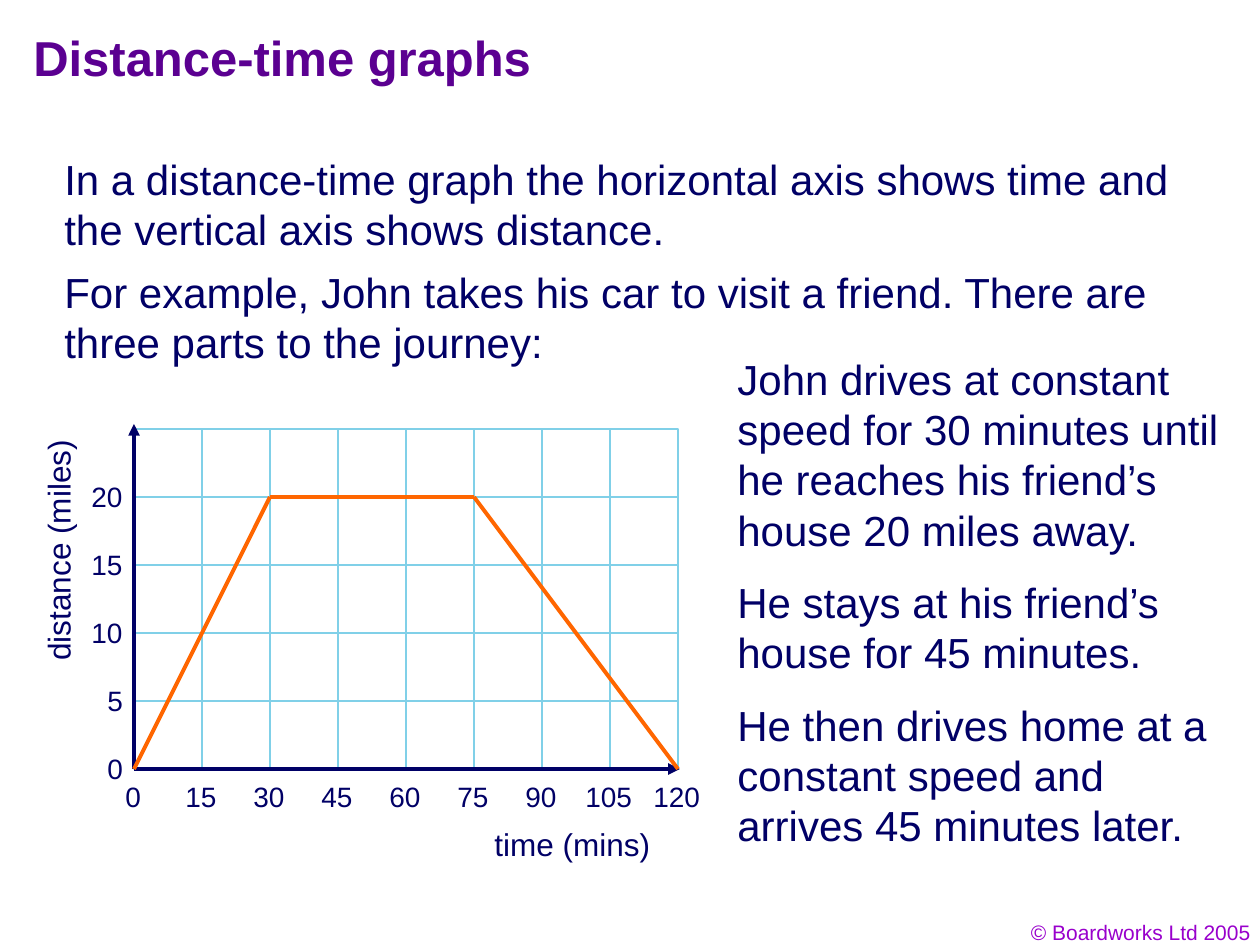
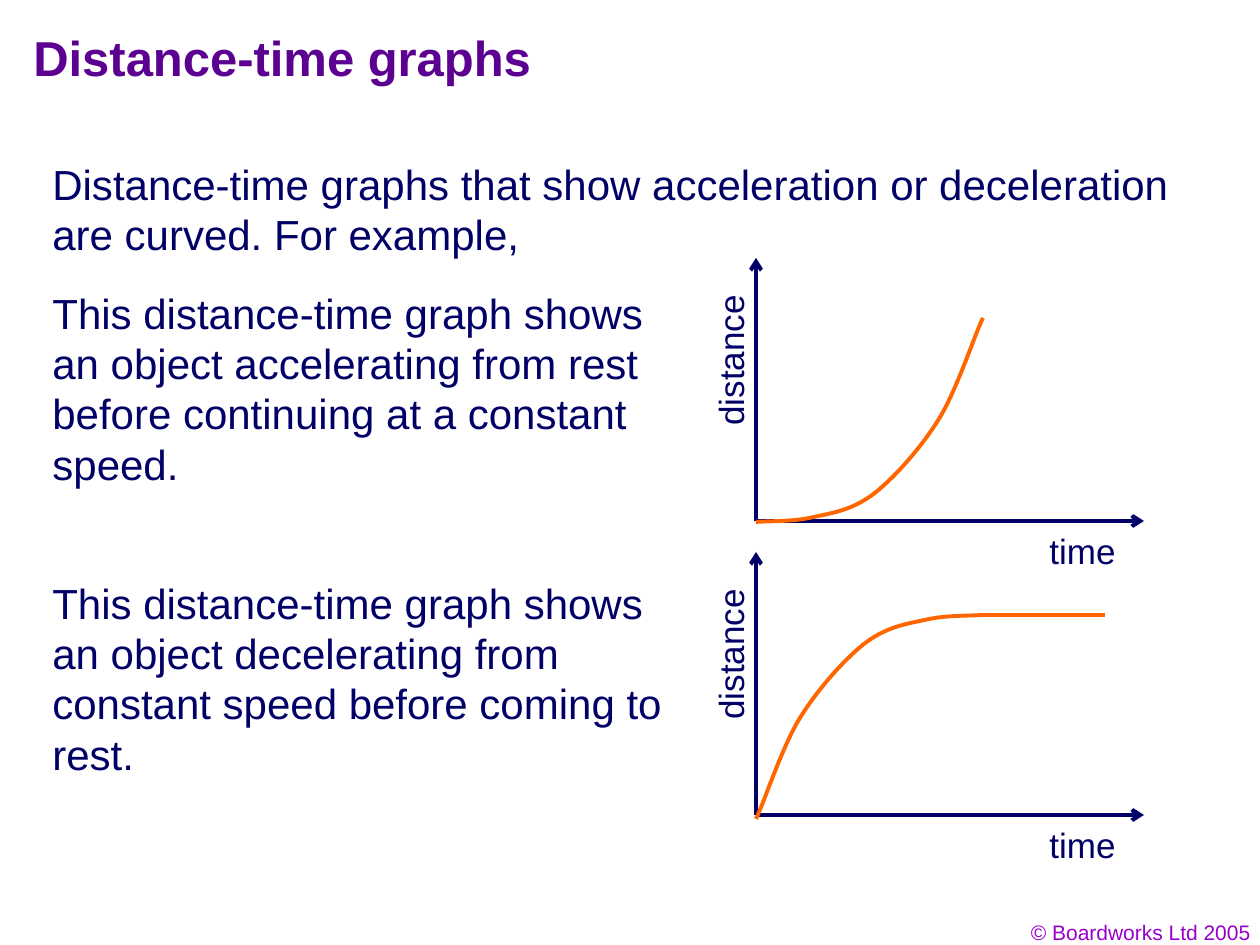
from dataclasses import dataclass
from itertools import pairwise

from lxml.etree import SubElement
from pptx import Presentation
from pptx.dml.color import RGBColor
from pptx.enum.shapes import MSO_CONNECTOR, MSO_SHAPE
from pptx.enum.text import MSO_AUTO_SIZE, PP_ALIGN
from pptx.oxml.ns import qn
from pptx.util import Pt


@dataclass(frozen=True)
class Theme:
    font: str = "Arial"
    title: str = "5B0091"
    body: str = "010066"
    axis: str = "000066"
    footer: str = "9900CC"
    curve: str = "FF6600"
    grid: str = "80D0E8"
    paper: str = "FFFFFF"
    title_size: int = 28
    body_size: int = 24
    sketch_label_size: int = 20
    axis_label_size: int = 18
    tick_size: int = 16
    footer_size: int = 12
    stroke: float = 2.25
    grid_stroke: float = 0.75


THEME = Theme()
EMU_PER_PX = 914400 / 126
SLIDE_SIZE = (1260, 945)

TITLE = "Distance-time graphs"
FOOTER = "© Boardworks Ltd 2005"

JOURNEY_TEXTS = [
    ((52, 147, 1183, 113), "In a distance-time graph the horizontal axis shows time and the vertical axis shows distance."),
    ((52, 260, 1183, 113), "For example, John takes his car to visit a friend. There are three parts to the journey:"),
    ((725, 347, 524, 214), "John drives at constant speed for 30 minutes until he reaches his friend’s house 20 miles away."),
    ((725, 570, 499, 113), "He stays at his friend’s house for 45 minutes."),
    ((725, 693, 499, 164), "He then drives home at a constant speed and arrives 45 minutes later."),
]
JOURNEY = [(0, 0), (30, 20), (75, 20), (120, 0)]
JOURNEY_ORIGIN = (134, 769)
CELL = 68
COLUMNS, ROWS = 8, 5
MINUTES_PER_CELL, MILES_PER_CELL = 15, 5
JOURNEY_LABELS = [
    ((482, 819, 186, 50), "time (mins)", 0),
    ((-67, 523, 250, 50), "distance (miles)", 270),
]

CURVED_INTRO = ((40, 152, 1200, 113), "Distance-time graphs that show acceleration or deceleration are curved. For example,")
SKETCHES = [
    {
        "text": "This distance-time graph shows an object accelerating from rest before continuing at a constant speed.",
        "text_box": (40, 281, 621, 214),
        "axis_y": 521,
        "curve_start": (983, 318),
        "direction": -1,
    },
    {
        "text": "This distance-time graph shows an object decelerating from constant speed before coming to rest.",
        "text_box": (40, 571, 653, 214),
        "axis_y": 815,
        "curve_start": (756, 819),
        "direction": 1,
    },
]
BEND = [
    (8, -16), (26, -72), (44, -101),
    (62, -130), (88, -159), (108, -175),
    (130, -192), (150, -195), (169, -199),
    (189, -204), (214, -203), (227, -204),
]
SKETCH_AXIS_X = 756
SKETCH_AXIS_LENGTHS = (388, 263)
REST_LINE = ((979, 615), (1105, 615))


def emu(*lengths):
    return [round(length * EMU_PER_PX) for length in lengths]


def colour(code):
    return RGBColor.from_string(code)


def style_line(line, code, width):
    line.color.rgb = colour(code)
    line.width = Pt(width)


def add_text(page, frame, text, size=THEME.body_size, code=THEME.body, bold=False,
             align=PP_ALIGN.LEFT, wrap=True, rotation=0):
    box = page.shapes.add_textbox(*emu(*frame))
    box.rotation = rotation
    box.text_frame.word_wrap = wrap
    box.text_frame.auto_size = MSO_AUTO_SIZE.NONE
    para = box.text_frame.paragraphs[0]
    para.alignment = align
    span = para.add_run()
    span.text = text
    span.font.name = THEME.font
    span.font.size = Pt(size)
    span.font.bold = bold
    span.font.color.rgb = colour(code)


def add_line(page, start, end, code=THEME.curve, arrow=None):
    connector = page.shapes.add_connector(MSO_CONNECTOR.STRAIGHT, *emu(*start, *end))
    style_line(connector.line, code, THEME.stroke)
    properties = connector._element.spPr
    if arrow:
        SubElement(properties.find(qn("a:ln")), qn("a:tailEnd"), type=arrow)
    SubElement(properties, qn("a:effectLst"))


def add_axes(page, origin, width, height, arrow):
    x, y = origin
    for end in [(x + width, y), (x, y - height)]:
        add_line(page, origin, end, code=THEME.axis, arrow=arrow)


def add_curve(page, start, direction):
    points = [emu(start[0] + direction * x, start[1] + direction * y) for x, y in BEND]
    builder = page.shapes.build_freeform(*emu(*start), scale=1.0)
    builder.add_line_segments(points, close=False)
    curve = builder.convert_to_shape()
    curve.fill.background()
    curve.shadow.inherit = False
    style_line(curve.line, THEME.curve, THEME.stroke)
    outline = next(curve._element.iter(qn("a:path")))
    segments = outline.findall(qn("a:lnTo"))
    for first in range(0, len(segments), 3):
        bezier = SubElement(outline, qn("a:cubicBezTo"))
        for segment in segments[first:first + 3]:
            bezier.append(segment[0])
            outline.remove(segment)


def add_grid(page, left, top):
    for row in range(ROWS):
        for column in range(COLUMNS):
            frame = emu(left + column * CELL, top + row * CELL, CELL, CELL)
            cell = page.shapes.add_shape(MSO_SHAPE.RECTANGLE, *frame)
            cell.shadow.inherit = False
            cell.fill.solid()
            cell.fill.fore_color.rgb = colour(THEME.paper)
            style_line(cell.line, THEME.grid, THEME.grid_stroke)


def add_tick(page, value, centre=None, right=None, top=0):
    text = str(value)
    width = 26 + 16 * len(text)
    left = right - width if centre is None else centre - width // 2
    add_text(page, (left, top, width, 47), text, size=THEME.tick_size, wrap=False)


def add_page(deck):
    page = deck.slides.add_slide(deck.slide_layouts[6])
    add_text(page, (969, 913, 294, 38), FOOTER, size=THEME.footer_size,
             code=THEME.footer, align=PP_ALIGN.RIGHT)
    add_text(page, (21, 21, 1071, 84), TITLE, size=THEME.title_size,
             code=THEME.title, bold=True)
    return page


def add_journey_page(deck):
    page = add_page(deck)
    for frame, text in JOURNEY_TEXTS:
        add_text(page, frame, text)
    left, bottom = JOURNEY_ORIGIN
    add_grid(page, left, bottom - ROWS * CELL)
    add_axes(page, JOURNEY_ORIGIN, COLUMNS * CELL + 2, ROWS * CELL + 5, "triangle")
    for column in range(COLUMNS + 1):
        add_tick(page, column * MINUTES_PER_CELL, centre=left + column * CELL, top=bottom + 4)
    for row in range(ROWS):
        add_tick(page, row * MILES_PER_CELL, right=left + 3, top=bottom - row * CELL - 24)
    for frame, text, rotation in JOURNEY_LABELS:
        add_text(page, frame, text, size=THEME.axis_label_size, wrap=False, rotation=rotation)
    stops = [(left + minutes * CELL / MINUTES_PER_CELL, bottom - miles * CELL / MILES_PER_CELL)
             for minutes, miles in JOURNEY]
    for start, end in pairwise(stops):
        add_line(page, start, end)


def add_curved_page(deck):
    page = add_page(deck)
    add_text(page, *CURVED_INTRO)
    for sketch in SKETCHES:
        axis_y = sketch["axis_y"]
        add_text(page, sketch["text_box"], sketch["text"])
        add_axes(page, (SKETCH_AXIS_X, axis_y), *SKETCH_AXIS_LENGTHS, "arrow")
        add_text(page, (1037, axis_y + 2, 97, 55), "time",
                 size=THEME.sketch_label_size, wrap=False)
        add_text(page, (650, axis_y - 191, 161, 55), "distance",
                 size=THEME.sketch_label_size, wrap=False, rotation=270)
        add_curve(page, sketch["curve_start"], sketch["direction"])
    add_line(page, *REST_LINE)


def main():
    deck = Presentation()
    deck.slide_width, deck.slide_height = emu(*SLIDE_SIZE)
    add_journey_page(deck)
    add_curved_page(deck)
    deck.save("out.pptx")


if __name__ == "__main__":
    main()
